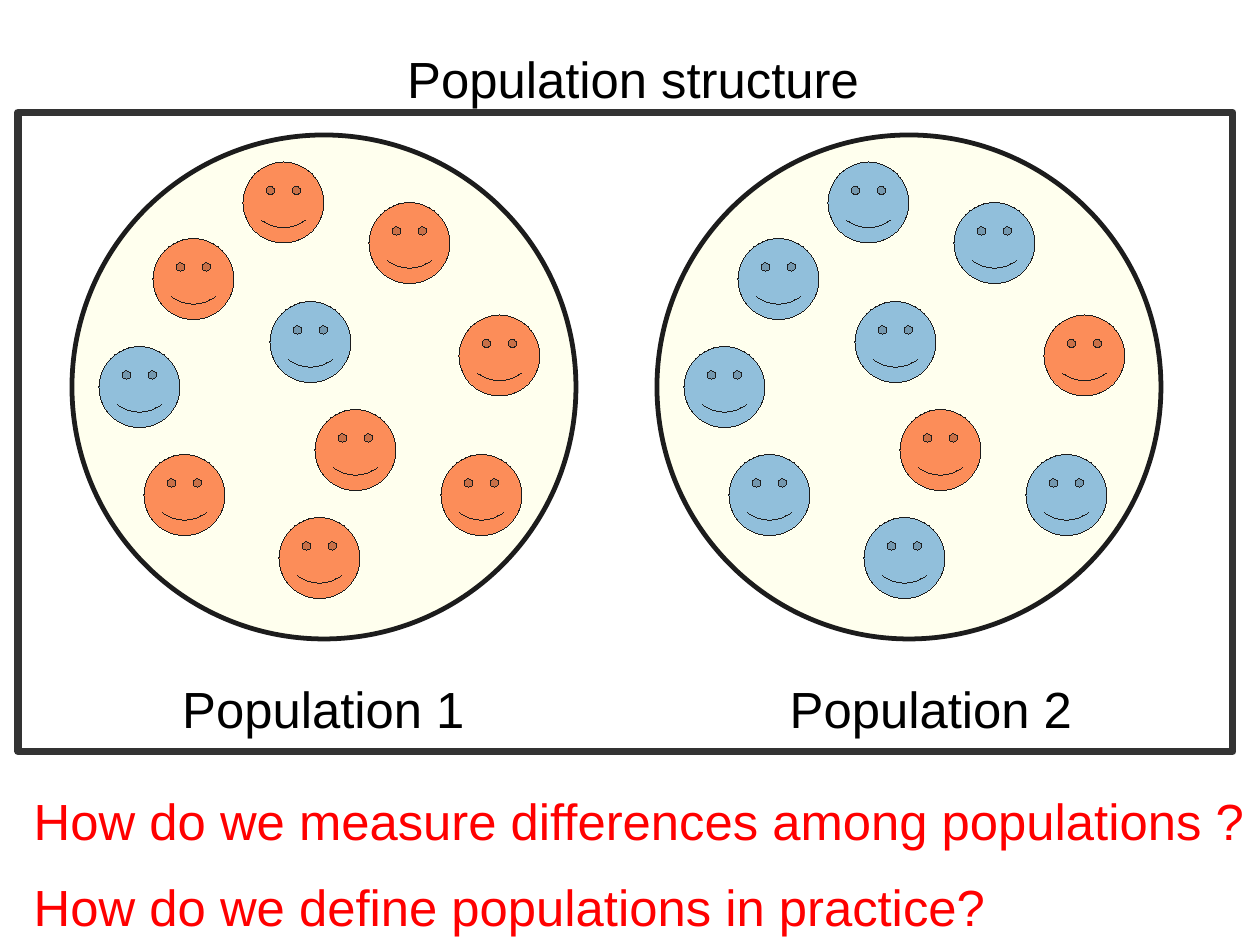
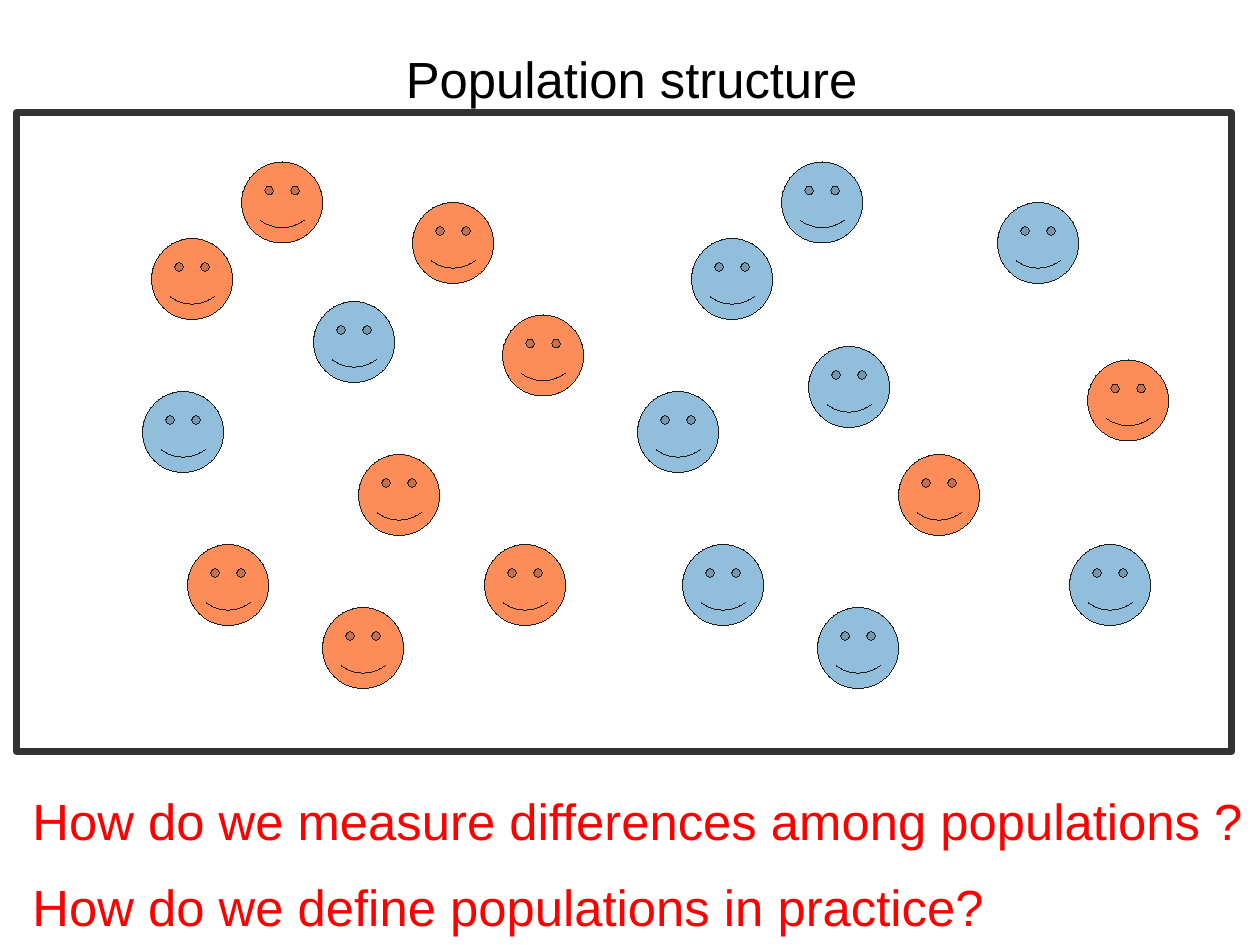
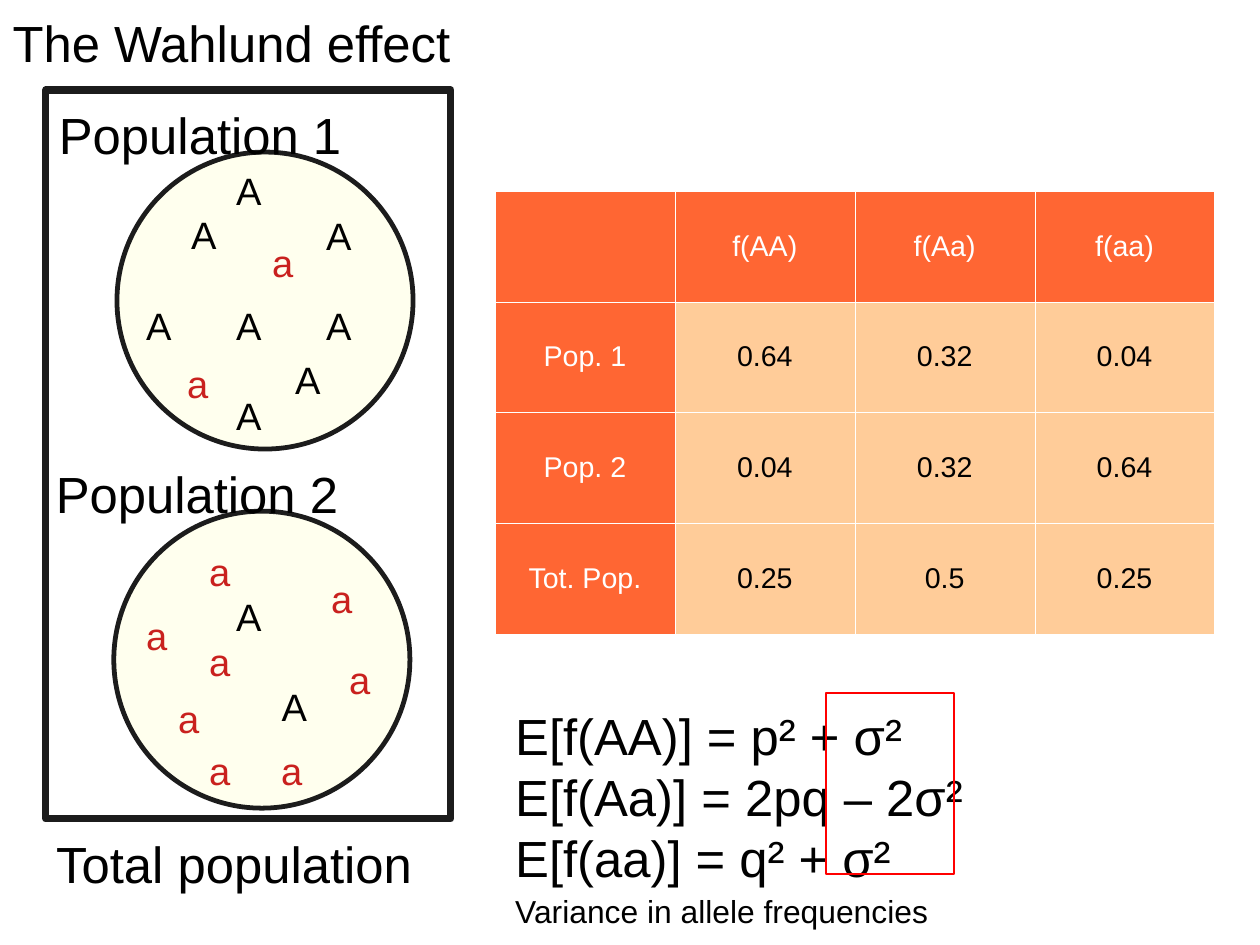
"""Builds three slides on population structure and the Wahlund effect."""
from lxml.etree import SubElement
from pptx import Presentation
from pptx.dml.color import RGBColor
from pptx.enum.shapes import MSO_SHAPE
from pptx.enum.text import MSO_ANCHOR, MSO_AUTO_SIZE, PP_ALIGN
from pptx.oxml.ns import qn
from pptx.util import Cm, Pt

FONT = "Arial"
HUES = {
    "black": "000000", "white": "FFFFFF", "ink": "1C1C1C", "gray": "333333",
    "red": "FF0000", "crimson": "C9211E", "cream": "FFFFBF",
    "orange": "FC8D59", "blue": "91BFDB", "head": "FF6633", "body": "FFCC99",
}
RGB = {name: RGBColor.from_string(code) for name, code in HUES.items()}


def write(slide, text, left, top, width, height=1.78, size=32, hue="black", wrap=False):
    box = slide.shapes.add_textbox(Cm(left), Cm(top), Cm(width), Cm(height))
    frame = box.text_frame
    frame.text = text
    frame.word_wrap = wrap
    frame.auto_size = MSO_AUTO_SIZE.SHAPE_TO_FIT_TEXT
    for par in frame.paragraphs:
        par.font.name = FONT
        par.font.size = Pt(size)
        par.font.color.rgb = RGB[hue]


def draw(slide, kind, left, top, width, height, line, weight, fill=None, alpha=None):
    shape = slide.shapes.add_shape(kind, Cm(left), Cm(top), Cm(width), Cm(height))
    shape.shadow.inherit = False
    shape.line.color.rgb = RGB[line]
    shape.line.width = Pt(weight)
    if fill:
        shape.fill.solid()
        shape.fill.fore_color.rgb = RGB[fill]
    else:
        shape.fill.background()
    if alpha:
        color = shape._element.spPr.find(qn("a:solidFill"))[0]
        SubElement(color, qn("a:alpha"), val=str(alpha * 1000))
    return shape


deck = Presentation()
deck.slide_width, deck.slide_height = Cm(28), Cm(21)
blank = deck.slide_layouts[6]

SPOTS = [(3.4, 5.3), (7, 9.1), (8.2, 4.5), (10.2, 7), (5.4, 3.6),
         (3.2, 10.1), (9.8, 10.1), (2.2, 7.7), (6, 6.7), (6.2, 11.5)]
LEFT = [(3.4, 5.3), (8, 10.1), (9.2, 4.5), (11.2, 7), (5.4, 3.6),
        (4.2, 12.1), (10.8, 12.1), (3.2, 8.7), (7, 6.7), (7.2, 13.5)]
RIGHT = [(15.4, 5.3), (20, 10.1), (22.2, 4.5), (24.2, 8), (17.4, 3.6),
         (15.2, 12.1), (23.8, 12.1), (14.2, 8.7), (18, 7.7), (18.2, 13.5)]
GAP = 13
SHIFTED = [(x + GAP, y) for x, y in SPOTS]
BLUES = [{7, 8}, set(range(10)) - {1, 3}]
ASKS = ["How do we measure differences among populations ?",
        "How do we define populations in practice?"]

for groups, ringed, shift in [((SPOTS, SHIFTED), True, 0), ((LEFT, RIGHT), False, -0.03)]:
    slide = deck.slides.add_slide(blank)
    write(slide, "Population structure", 8.8 + shift, 0.93, 11.4)
    for index, (spots, blues) in enumerate(zip(groups, BLUES)):
        if ringed:
            draw(slide, MSO_SHAPE.OVAL, 1.6 + index * GAP, 3, 11.2, 11.2,
                 "ink", 3, "cream", 26)
            write(slide, f"Population {index + 1}", 3.8 + index * 13.5, 14.93, 7.2)
        for spot, (x, y) in enumerate(spots):
            face = draw(slide, MSO_SHAPE.SMILEY_FACE, x + shift, y, 1.8, 1.8,
                        "ink", 0.01, "blue" if spot in blues else "orange")
            face.adjustments[0] = 0.093
    draw(slide, MSO_SHAPE.RECTANGLE, 0.4 + shift, 2.5, 27, 14.2, "gray", 4.5)
    for ask, top, width in zip(ASKS, (17.43, 19.33), (28.98, 22.9)):
        write(slide, ask, 0.5 + shift, top, width, hue="red")

slide = deck.slides.add_slide(blank)
write(slide, "The Wahlund effect", 0.03, 0.13, 10.8)
for index, (left, top) in enumerate([(2.6, 3.38), (2.53, 11.36)]):
    draw(slide, MSO_SHAPE.OVAL, left, top, 6.58, 6.6, "ink", 3, "cream", 26)
    write(slide, f"Population {index + 1}", left - 1.54, top - 1.2, 7.2)
draw(slide, MSO_SHAPE.RECTANGLE, 1.02, 2, 9, 16.2, "ink", 4.5)

GENES = [
    ("A", 1.07, "black",
     [(4, 4.58), (5, 6.59), (7, 6.6), (5, 8.6), (3, 6.6), (5, 3.6),
      (7, 4.6), (6.31, 7.8), (5, 13.06), (6.01, 15.06)]),
    ("a", 0.97, "crimson",
     [(3.71, 15.34), (4.4, 12.06), (7.11, 12.67), (7.51, 14.46), (6, 16.48),
      (3, 13.48), (4.4, 14.06), (4.4, 16.48), (3.91, 7.88), (5.8, 5.2)]),
]
for gene, width, hue, spots in GENES:
    for x, y in spots:
        write(slide, gene, x, y, width, 1.2, 24, hue)
write(slide, "Total population", 1, 18.39, 9.14)

ROWS = [
    ("", "f(AA)", "f(Aa)", "f(aa)"),
    ("Pop. 1", "0.64", "0.32", "0.04"),
    ("Pop. 2", "0.04", "0.32", "0.64"),
    ("Tot. Pop.", "0.25", "0.5", "0.25"),
]
table = slide.shapes.add_table(4, 4, Cm(11), Cm(4.24), Cm(15.99), Cm(9.85)).table
for r, row in enumerate(ROWS):
    for c, text in enumerate(row):
        cell = table.cell(r, c)
        cell.text = text
        cell.vertical_anchor = MSO_ANCHOR.MIDDLE
        head = r == 0 or c == 0
        par = cell.text_frame.paragraphs[0]
        par.alignment = PP_ALIGN.CENTER
        par.font.name = FONT
        par.font.size = Pt(18)
        par.font.bold = False
        par.font.color.rgb = RGB["white" if head else "black"]
        for side in ("lnL", "lnR", "lnT", "lnB"):
            edge = SubElement(cell._tc.get_or_add_tcPr(), qn(f"a:{side}"), w=str(Pt(0.06)))
            SubElement(SubElement(edge, qn("a:solidFill")), qn("a:srgbClr"), val=HUES["white"])
        cell.fill.solid()
        cell.fill.fore_color.rgb = RGB["head" if head else "body"]

MEANS = ["E[f(AA)] = p² + σ²", "E[f(Aa)] = 2pq – 2σ²", "E[f(aa)] = q² + σ²"]
write(slide, "\n".join(MEANS), 11.2, 15.54, 16.4, 4.85, wrap=True)
draw(slide, MSO_SHAPE.RECTANGLE, 18.35, 15.4, 2.85, 4.03, "red", 1.5)
write(slide, "Variance in allele frequencies", 11.2, 19.7, 10.16, 1.22, 20)

deck.save("out.pptx")
